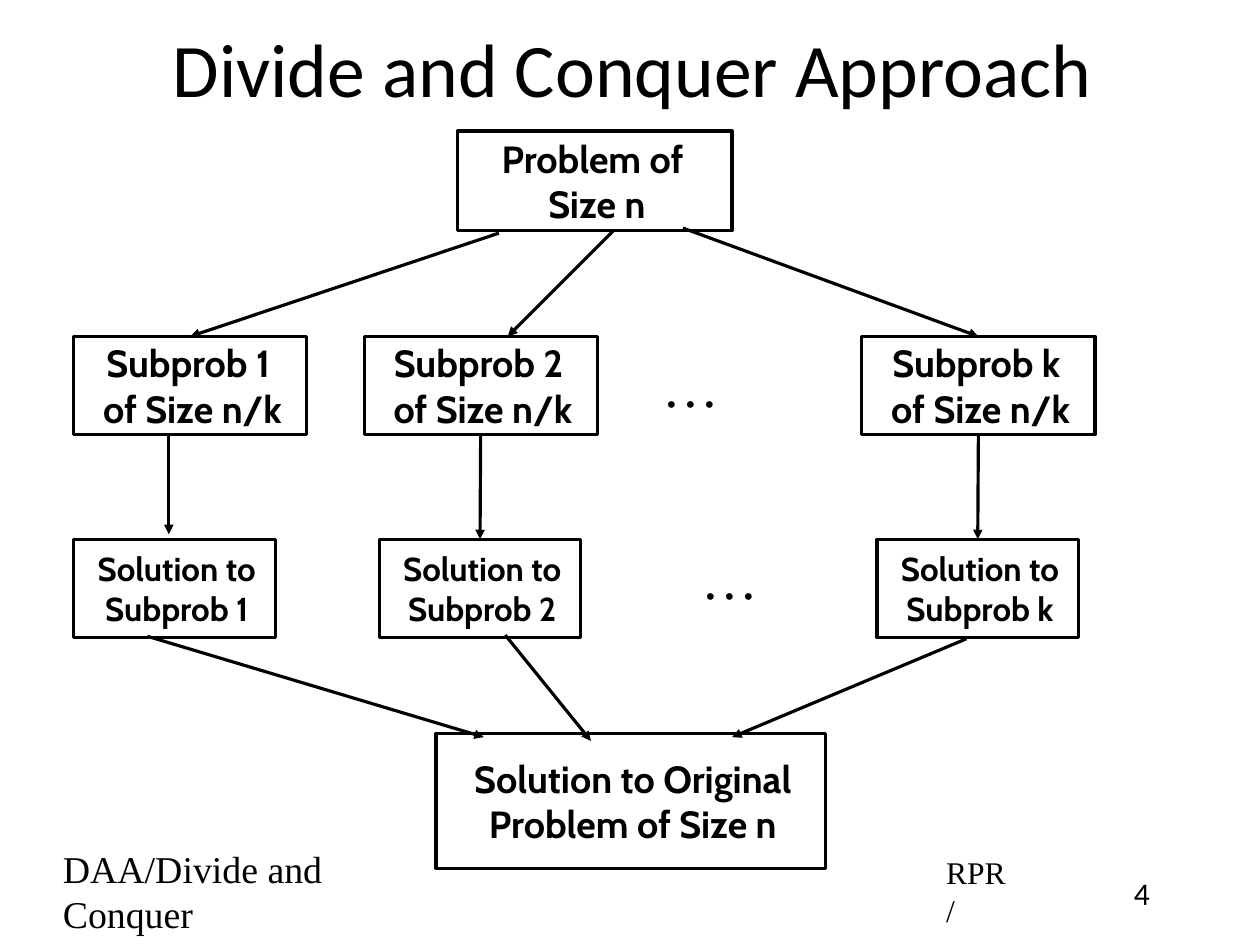
from lxml import etree
from pptx import Presentation
from pptx import util as u
from pptx.dml.color import RGBColor
from pptx.enum import shapes, text
from pptx.oxml import ns

COLUMNS, ROWS = 100, 75
INK = "000000"


def color(code):
    return RGBColor.from_string(code)


class Diagram:
    """Draws on one slide; lengths are columns and rows of a 100 x 75 grid."""

    line_width = u.Pt(2)
    inset = u.Inches(0.06)
    left_inset = u.Inches(0.1)

    def __init__(self, presentation):
        self.cell_width = presentation.slide_width / COLUMNS
        self.cell_height = presentation.slide_height / ROWS
        self.slide = presentation.slides.add_slide(presentation.slide_layouts[5])

    def point(self, column, row):
        return round(column * self.cell_width), round(row * self.cell_height)

    def set_text(self, shape, lines, size, font, bold=False, centered=True,
                 anchor=text.MSO_ANCHOR.MIDDLE, right_inset=0.06):
        frame = shape.text_frame
        frame.word_wrap = True
        frame.auto_size = text.MSO_AUTO_SIZE.NONE
        frame.vertical_anchor = anchor
        frame.margin_left = self.left_inset
        frame.margin_top = frame.margin_bottom = self.inset
        frame.margin_right = u.Inches(right_inset)
        for index, line in enumerate(lines):
            paragraph = frame.add_paragraph() if index else frame.paragraphs[0]
            paragraph.alignment = text.PP_ALIGN.CENTER if centered else text.PP_ALIGN.LEFT
            run = paragraph.add_run()
            run.text = line
            run.font.name = font
            run.font.size = u.Pt(size)
            run.font.bold = bold
            run.font.color.rgb = color(INK)

    def title(self, words, left, top, width, height):
        shape = self.slide.shapes.title
        shape.left, shape.top = self.point(left, top)
        shape.width, shape.height = self.point(width, height)
        self.set_text(shape, [words], 48, "Calibri")

    def label(self, words, left, top, width, height, size, font="Times New Roman", **style):
        shape = self.slide.shapes.add_textbox(*self.point(left, top), *self.point(width, height))
        self.set_text(shape, [words], size, font, **style)

    def box(self, lines, left, top, width, height, size=24):
        shape = self.slide.shapes.add_shape(
            shapes.MSO_SHAPE.RECTANGLE, *self.point(left, top), *self.point(width, height))
        shape.shadow.inherit = False
        shape.fill.background()
        shape.line.color.rgb = color(INK)
        shape.line.width = self.line_width
        self.set_text(shape, lines, size, "Cabin", bold=True)
        return shape

    def arrow(self, start=(0, 0), end=(0, 0), source=None, target=None):
        """Join the source's bottom to the target's top, or use the points given instead."""
        connector = self.slide.shapes.add_connector(
            shapes.MSO_CONNECTOR.STRAIGHT, *self.point(*start), *self.point(*end))
        if source is not None:
            connector.begin_connect(source, 2)
        if target is not None:
            connector.end_connect(target, 0)
        connector.line.color.rgb = color(INK)
        connector.line.width = self.line_width
        properties = connector.element.spPr
        etree.SubElement(properties.find(ns.qn("a:ln")), ns.qn("a:tailEnd"), type="triangle")
        etree.SubElement(properties, ns.qn("a:effectLst"))


def main():
    presentation = Presentation()
    presentation.slide_width = u.Inches(11.11)
    presentation.slide_height = u.Inches(8.33)
    diagram = Diagram(presentation)

    diagram.title("Divide and Conquer Approach", 7.5, 0.6, 85, 9.4)
    diagram.label("4", 87.5, 68.8, 5.9, 3.8, 20, "Calibri", anchor=text.MSO_ANCHOR.TOP)
    diagram.label("DAA/Divide and Conquer", 4.1, 68.6, 33.2, 4.2, 24,
                  centered=False, right_inset=0.2)
    diagram.label("RPR/", 74.2, 68.8, 6.9, 3.8, 20, centered=False, right_inset=0.12)

    diagram.box(["Problem of ", "Size n"], 36.3, 10.4, 21.8, 7.9)
    subproblems, solutions = [], []
    for name, left, solution_left in (("1", 5.85, 5.85), ("2", 28.9, 30.1), ("k", 68.4, 69.6)):
        subproblems.append(diagram.box(
            [f"Subprob {name} ", "of Size n/k"], left, 26.7, 18.5, 7.8))
        solutions.append(diagram.box(
            ["Solution to", f"Subprob {name}"], solution_left, 42.8, 16, 7.8, 21))
    for left, top in ((51.7, 27.5), (54.8, 42.8)):
        diagram.label("…", left, top, 6, 6, 36, centered=False)
    diagram.box(["Solution to Original Problem of Size n"], 34.6, 58.2, 30.9, 10.7)

    # Divide
    diagram.arrow(start=(39.6, 18.5), target=subproblems[0])
    diagram.arrow(start=(48.7, 18.3), end=(40.3, 26.7))
    diagram.arrow(start=(54.2, 18.1), target=subproblems[2])

    # Solve
    diagram.arrow(start=(13.4, 34.4), end=(13.4, 42.4))
    for subproblem, solution in zip(subproblems[1:], solutions[1:]):
        diagram.arrow(source=subproblem, target=solution)

    # Combine
    for start, end in (((11.7, 50.5), (38.4, 58.5)),
                       ((40.1, 50.4), (46.9, 58.8)),
                       ((76.7, 50.7), (58.1, 58.5))):
        diagram.arrow(start, end)

    presentation.save("out.pptx")


if __name__ == "__main__":
    main()
